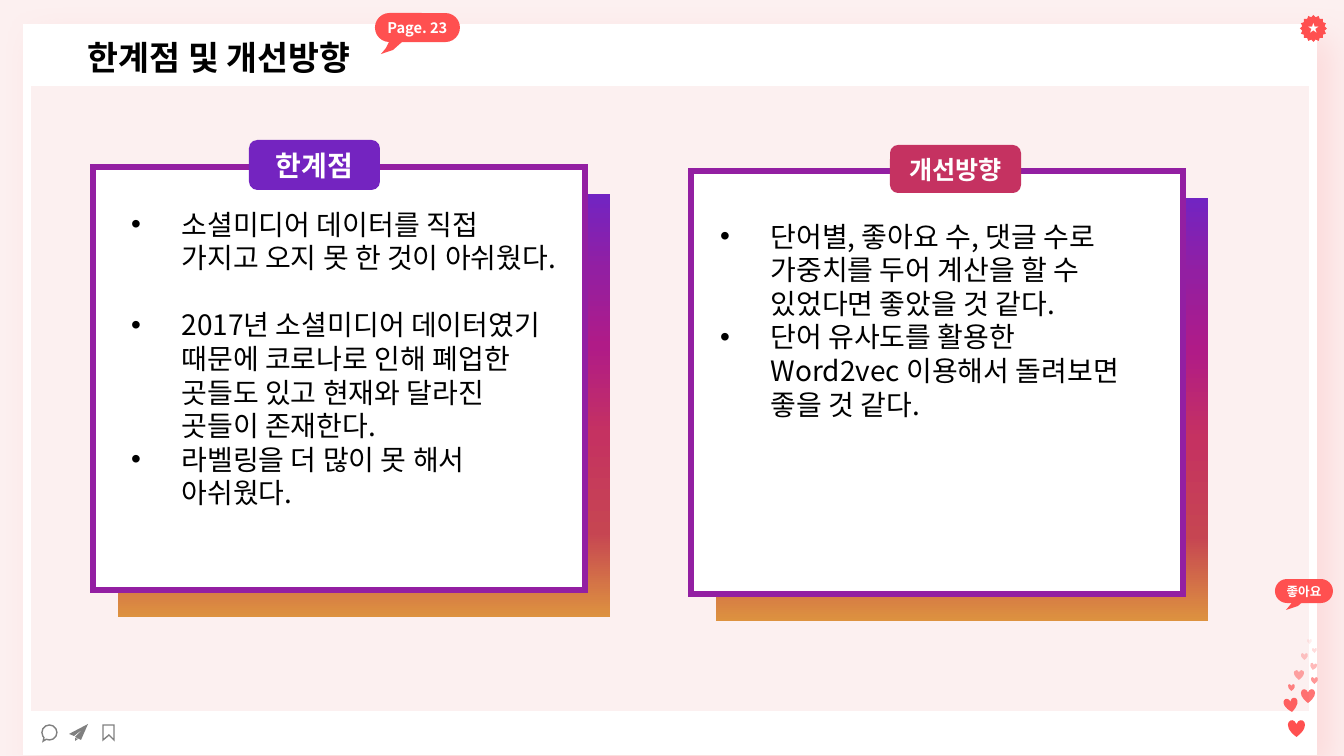
"""Build the slide on limits and ways to improve."""
from dataclasses import dataclass

from lxml import etree
from pptx import Presentation
from pptx import util as u
from pptx.dml.color import RGBColor
from pptx.enum import shapes, text
from pptx.oxml.ns import qn
from pptx.shapes.autoshape import Shape
from pptx.text.text import TextFrame

SCALE = 914400 / 100.8
FONT = "Noto Sans CJK KR"
RED, GRAY, WHITE, PINK = "FF5050", "808080", "FFFFFF", "FCF0F0"
KIND = shapes.MSO_SHAPE
ALIGN = text.PP_ALIGN
STOPS = [(0, "7224C2"), (18, "931FA2"), (36, "B01B87"),
         (57, "C53261"), (80, "C64552"), (100, "DD923F")]
TAIL = [(28, -26), (10, -26), (10, -24), (10, -18), (8, -12), (5, -6),
        (0, 0), (12, -4), (21, -12), (26, -21)]
PLANE = [[(69, 734), (74, 736), (84, 728), (75, 737), (81, 740), (88, 724)],
         [(75, 738), (78, 739), (75, 741)]]
MARK = [[(103, 740), (103, 725), (114, 725), (114, 740), (109, 735)]]

Box = tuple[int, int, int, int]
Point = tuple[int, int]


@dataclass
class Heart:
    """A heart with its place, size, strength and turn."""
    left: int
    top: int
    size: int
    alpha: int
    turn: float = 0


@dataclass
class Bubble:
    """A round callout with a tail."""
    box: Box
    tip: Point
    label: str
    size: float


@dataclass
class Panel:
    """A framed card with a tag and a list."""
    left: int
    top: int
    tag: Box
    hue: str
    label: str
    size: int
    list_box: Box
    items: list[str]


HEARTS = [Heart(1288, 720, 17, 100), Heart(1284, 698, 14, 90, 351.3),
          Heart(1301, 689, 14, 80), Heart(1294, 670, 10, 50),
          Heart(1288, 684, 7, 70), Heart(1310, 663, 7, 40, 11.5),
          Heart(1311, 677, 7, 60), Heart(1301, 653, 7, 30),
          Heart(1312, 648, 5, 20), Heart(1307, 639, 5, 10)]
BUBBLES = [Bubble((375, 13, 85, 29), (381, 54), "Page. 23", 10.5),
           Bubble((1275, 579, 58, 24), (1286, 610), "좋아요", 9)]
PANELS = [
    Panel(93, 167, (249, 140, 131, 50), "7424C0", "한계점", 20,
          (121, 202, 440, 462),
          ["소셜미디어 데이터를 직접 가지고 오지 못 한 것이 아쉬웠다. ",
           "2017년 소셜미디어 데이터였기 때문에 코로나로 인해 폐업한 "
           "곳들도 있고 현재와 달라진 곳들이 존재한다.",
           "라벨링을 더 많이 못 해서 아쉬웠다."]),
    Panel(691, 171, (890, 145, 131, 48), "C53261", "개선방향", 18,
          (710, 214, 440, 329),
          ["단어별, 좋아요 수, 댓글 수로 가중치를 두어 계산을 할 수 "
           "있었다면 좋았을 것 같다.",
           "단어 유사도를 활용한Word2vec 이용해서 돌려보면 좋을 것 같다."]),
]


def px(num: float) -> int:
    """Turn px into EMU."""
    return round(num * SCALE)


def rgb(hue: str) -> RGBColor:
    """Turn a hex string into a colour."""
    return RGBColor.from_string(hue)


def paint(shape: Shape, fill: str = "", line: str = "", width: float = 1) -> Shape:
    """Set fill and a sharp line, and drop the shadow."""
    shape.shadow.inherit = False
    if fill:
        shape.fill.solid()
        shape.fill.fore_color.rgb = rgb(fill)
    else:
        shape.fill.background()
    if line:
        shape.line.color.rgb = rgb(line)
        shape.line.width = u.Pt(width)
        edge = shape._element.spPr.find(qn("a:ln"))
        etree.SubElement(edge, qn("a:miter"), lim="800000")
    else:
        shape.line.fill.background()
    return shape


def draw(slide, kind: KIND, box: Box, fill: str = "", line: str = "",
         width: float = 1) -> Shape:
    """Add a preset shape."""
    return paint(slide.shapes.add_shape(kind, *map(px, box)), fill, line, width)


def trace(slide, loops: list[list[Point]], fill: str = "", line: str = "") -> Shape:
    """Add a shape from closed loops of points."""
    pen = slide.shapes.build_freeform(*loops[0][0], scale=SCALE)
    pen.add_line_segments(loops[0][1:], close=True)
    for loop in loops[1:]:
        pen.move_to(*loop[0])
        pen.add_line_segments(loop[1:], close=True)
    return paint(pen.convert_to_shape(), fill, line)


def style(frame: TextFrame, size: float, hue: str, bold: bool, align: ALIGN) -> None:
    """Format each run in a frame, with kerning off."""
    for para in frame.paragraphs:
        para.alignment = align
        para.space_before = u.Pt(0)
        for run in para.runs:
            font = run.font
            font.name, font.size, font.bold = FONT, u.Pt(size), bold
            font.color.rgb = rgb(hue)
            font._element.set("kern", "0")
            etree.SubElement(font._element, qn("a:ea"), typeface=FONT)


def label(shape: Shape, words: str, size: float) -> None:
    """Put bold white text in the middle of a shape."""
    frame = shape.text_frame
    frame.text, frame.word_wrap = words, False
    frame.vertical_anchor = text.MSO_ANCHOR.MIDDLE
    style(frame, size, WHITE, True, ALIGN.CENTER)


def place(slide, index: int, box: Box) -> TextFrame:
    """Move a placeholder to a box and bring it to the front."""
    holder = slide.placeholders[index]
    holder.left, holder.top, holder.width, holder.height = map(px, box)
    slide.shapes._spTree.append(holder._element)
    frame = holder.text_frame
    frame.word_wrap, frame.auto_size = True, text.MSO_AUTO_SIZE.NONE
    frame.vertical_anchor = text.MSO_ANCHOR.TOP
    return frame


def glow(shape: Shape) -> None:
    """Give a shape a soft pink shadow."""
    effects = shape._element.spPr.find(qn("a:effectLst"))
    shade = etree.SubElement(effects, qn("a:outerShdw"), blurRad=str(u.Pt(24)),
                             dist=str(u.Pt(15)), dir="2700000", rotWithShape="0")
    tone = etree.SubElement(shade, qn("a:srgbClr"), val="FFBBBC")
    etree.SubElement(tone, qn("a:alpha"), val="40000")


def blend(shape: Shape) -> None:
    """Fill a shape with the gradient, from top to bottom."""
    shape.fill.gradient()
    shape.fill.gradient_angle = 270
    stops = shape._element.spPr.find(qn("a:gradFill")).find(qn("a:gsLst"))
    stops.clear()
    for spot, hue in STOPS:
        stop = etree.SubElement(stops, qn("a:gs"), pos=str(spot * 1000))
        etree.SubElement(stop, qn("a:srgbClr"), val=hue)


def add_heart(slide, heart: Heart) -> None:
    """Draw one heart."""
    shape = draw(slide, KIND.HEART, (heart.left, heart.top, heart.size, heart.size), RED)
    shape.rotation = heart.turn
    tone = shape._element.spPr.find(qn("a:solidFill"))[0]
    etree.SubElement(tone, qn("a:alpha"), val=str(heart.alpha * 1000))


def add_bubble(slide, bubble: Bubble) -> None:
    """Draw one callout."""
    left, top = bubble.tip
    trace(slide, [[(left + x, top + y) for x, y in TAIL]], RED)
    shape = draw(slide, KIND.ROUNDED_RECTANGLE, bubble.box, RED)
    shape.adjustments[0] = 0.5
    label(shape, bubble.label, bubble.size)


def add_panel(slide, index: int, panel: Panel) -> None:
    """Draw one card with its tag and list."""
    blend(draw(slide, KIND.RECTANGLE, (panel.left + 25, panel.top + 27, 492, 423)))
    draw(slide, KIND.RECTANGLE, (panel.left, panel.top, 492, 423), WHITE, "931FA2", 4.75)
    label(draw(slide, KIND.ROUNDED_RECTANGLE, panel.tag, panel.hue), panel.label, panel.size)
    frame = place(slide, index, panel.list_box)
    frame.text = "\n".join(panel.items)
    for para in frame.paragraphs:
        props = para._p.get_or_add_pPr()
        props.set("marL", str(u.Inches(0.5)))
        props.set("indent", str(u.Inches(-0.5)))
        etree.SubElement(props, qn("a:buChar"), char="•")
    style(frame, 20, "000000", False, ALIGN.LEFT)


def main() -> None:
    """Build and save the slide."""
    deck = Presentation()
    deck.slide_width, deck.slide_height = px(1344), px(756)
    slide = deck.slides.add_slide(deck.slide_layouts[3])
    slide.background.fill.solid()
    slide.background.fill.fore_color.rgb = rgb(PINK)
    glow(draw(slide, KIND.RECTANGLE, (27, 28, 1286, 723), WHITE, WHITE, 6.25))
    draw(slide, KIND.RECTANGLE, (27, 82, 1286, 633), PINK, WHITE, 6.25)
    title = place(slide, 0, (27, 28, 1286, 54))
    title.text = "한계점 및 개선방향"
    title.margin_left, title.margin_top = px(61), px(9)
    style(title, 24, "000000", True, ALIGN.LEFT)
    star = draw(slide, KIND.STAR_16_POINT, (1300, 15, 27, 27), RED)
    star.adjustments[0] = 0.42
    label(star, "★", 8)
    trace(slide, MARK, line=GRAY)
    trace(slide, PLANE, GRAY)
    chat = draw(slide, KIND.OVAL_CALLOUT, (42, 725, 15, 15), line=GRAY)
    chat.adjustments[0], chat.adjustments[1] = -0.42, 0.58
    for heart in HEARTS:
        add_heart(slide, heart)
    for bubble in BUBBLES:
        add_bubble(slide, bubble)
    for index, panel in enumerate(PANELS, 1):
        add_panel(slide, index, panel)
    deck.save("out.pptx")


if __name__ == "__main__":
    main()
